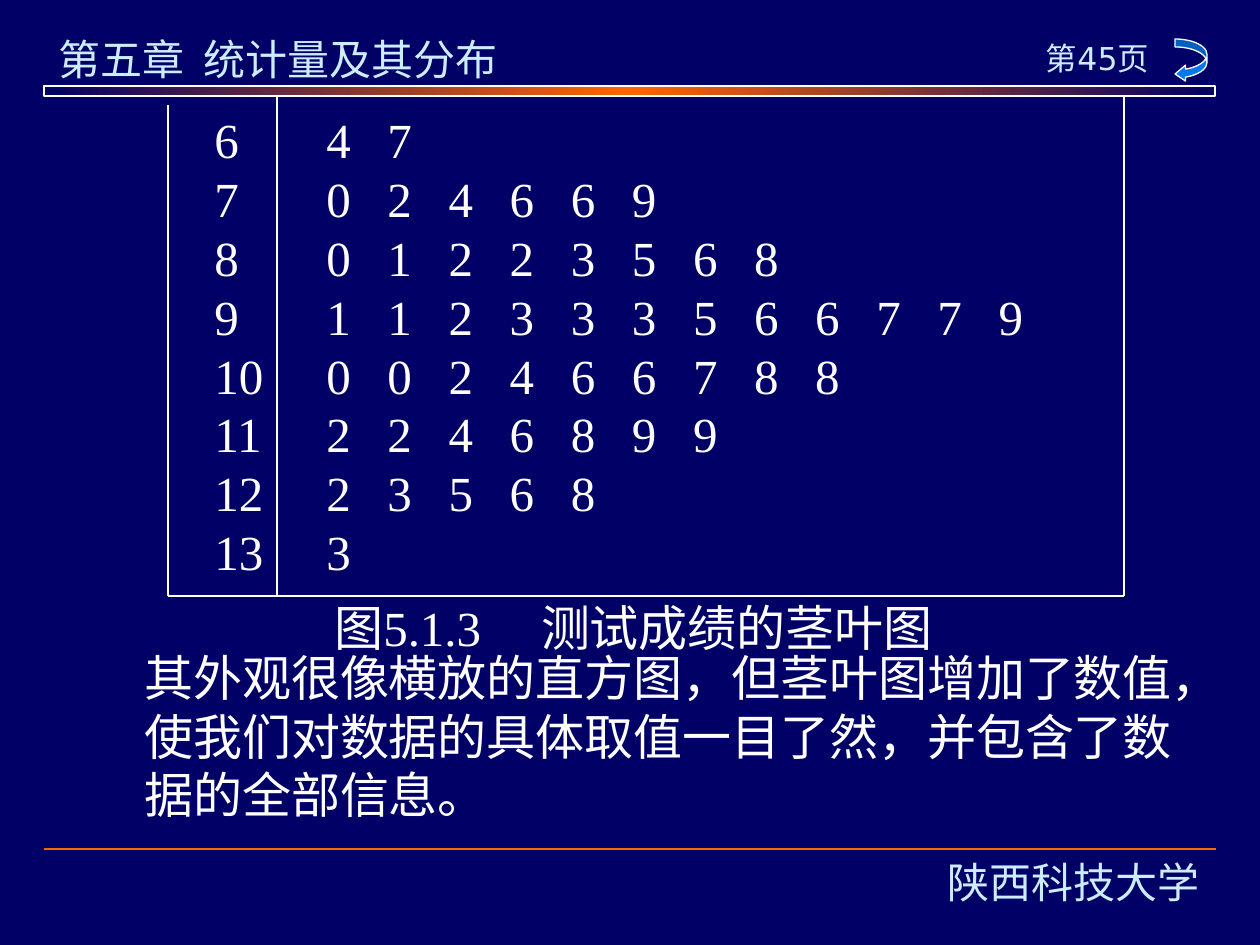
from copy import deepcopy
from dataclasses import dataclass

from pptx import Presentation
from pptx import util as u
from pptx.dml.color import RGBColor
from pptx.enum import shapes, text
from pptx.oxml.ns import qn
from lxml import etree


@dataclass(frozen=True)
class Theme:
    back: str = "000066"
    ink: str = "FFFFFF"
    pale: str = "CCECFF"
    glow: str = "FF6600"
    blue: str = "0078F0"
    body: int = 28
    head: int = 24
    page: int = 18
    thin: float = 0.75
    rule: float = 1


def px(n):
    return u.Emu(round(n * 914400 / 126))


def rgb(code):
    return RGBColor.from_string(code)


class Deck:
    def __init__(self, theme):
        self.theme = theme
        self.prs = Presentation()
        self.prs.slide_width, self.prs.slide_height = px(1260), px(945)
        self.slide = self.prs.slides.add_slide(self.prs.slide_layouts[6])
        fill = self.slide.background.fill
        fill.solid()
        fill.fore_color.rgb = rgb(theme.back)

    def line(self, x1, y1, x2, y2, color, width):
        link = self.slide.shapes.add_connector(
            shapes.MSO_CONNECTOR.STRAIGHT, px(x1), px(y1), px(x2), px(y2))
        link.line.color.rgb = rgb(color)
        link.line.width = u.Pt(width)
        etree.SubElement(link._element.spPr, qn("a:effectLst"))

    def shape(self, kind, box, color):
        item = self.slide.shapes.add_shape(kind, *map(px, box))
        item.shadow.inherit = False
        item.fill.solid()
        item.fill.fore_color.rgb = rgb(color)
        item.line.color.rgb = rgb(self.theme.ink)
        item.line.width = u.Pt(self.theme.thin)
        return item

    def bar(self, box):
        fill = self.shape(shapes.MSO_SHAPE.RECTANGLE, box, self.theme.back).fill
        fill.gradient()
        fill.gradient_angle = 0
        first, last = fill.gradient_stops
        mid = deepcopy(first._gs)
        first._gs.addnext(mid)
        looks = zip(fill.gradient_stops, (0, 0.5, 1),
                    (self.theme.back, self.theme.glow, self.theme.back))
        for stop, place, color in looks:
            stop.position = place
            stop.color.rgb = rgb(color)

    def arrow(self, box):
        item = self.shape(shapes.MSO_SHAPE.CURVED_LEFT_ARROW, box, self.theme.blue)
        item.adjustments[2] = 0.33

    def text(self, box, lines, font, size, color, align="LEFT", anchor="TOP"):
        frame = self.slide.shapes.add_textbox(*map(px, box)).text_frame
        frame.word_wrap = True
        frame.vertical_anchor = text.MSO_ANCHOR[anchor]
        frame.text = "\n".join(lines)
        for para in frame.paragraphs:
            para.alignment = text.PP_ALIGN[align]
            para.font.name = font
            para.font.size = u.Pt(size)
            para.font.color.rgb = rgb(color)
        return frame

    def stems(self, box, start, rows, hang, gap):
        frame = self.text(box, rows, "Times New Roman", self.theme.body,
                          self.theme.ink, anchor="MIDDLE")
        for para in frame.paragraphs:
            props = para._p.get_or_add_pPr()
            props.set("marL", str(px(hang)))
            props.set("indent", str(-px(hang)))
            mark = etree.Element(qn("a:buAutoNum"), type="arabicPlain",
                                 startAt=str(start))
            props.insert(0, mark)
            para.runs[0]._r.get_or_add_rPr().set("spc", str(gap * 100))


def main():
    theme = Theme()
    deck = Deck(theme)
    deck.line(44, 849, 1216, 849, theme.glow, theme.rule)
    deck.text((46, 27, 486, 63), ["第五章  统计量及其分布"],
              "Comic Neue", theme.head, theme.pale)
    deck.bar((44, 86, 1171, 10))
    deck.text((917, 850, 314, 63), ["陕西科技大学"],
              "Karla", theme.head, theme.pale, "CENTER")
    deck.text((1020, 33, 155, 50), ["第45页"],
              "DejaVu Sans", theme.page, theme.pale, "CENTER")
    deck.arrow((1175, 39, 32, 43))

    deck.text((322, 591, 722, 72), ["图5.1.3　 测试成绩的茎叶图"],
              "Times New Roman", theme.body, theme.ink, anchor="MIDDLE")
    left, split, right, top, base = 168, 277, 1124, 96, 596
    for x, y in ((split, top), (left, 105), (right, top)):
        deck.line(x, y, x, base, theme.ink, theme.thin)
    for y in (top, base):
        deck.line(left, y, right, y, theme.ink, theme.thin)

    leaves = ("47", "024669", "01223568", "112333566779",
              "002466788", "2246899", "23568", "3")
    deck.stems((202, 103, 900, 484), 6, [" ".join(row) for row in leaves],
               hang=112, gap=7)
    deck.text((132, 641, 1120, 189),
              ["其外观很像横放的直方图，但茎叶图增加了数值，",
               "使我们对数据的具体取值一目了然，并包含了数",
               "据的全部信息。"],
              "Arial", theme.body, theme.ink)
    deck.prs.save("out.pptx")


if __name__ == "__main__":
    main()
